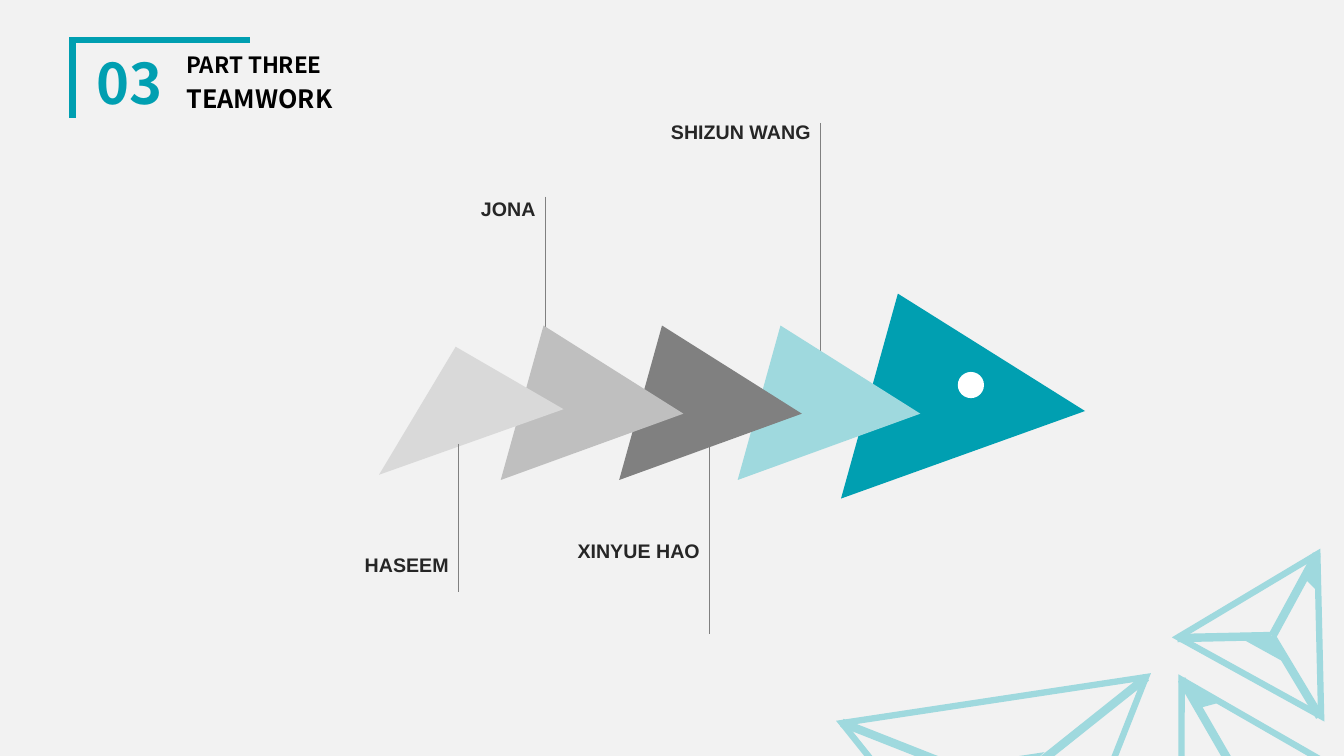
import pptx
import pptx.dml.color
import pptx.enum.shapes
import pptx.enum.text
import pptx.oxml
import pptx.oxml.ns
import pptx.util

Inches, Pt = pptx.util.Inches, pptx.util.Pt
RGBColor = pptx.dml.color.RGBColor
MSO_SHAPE = pptx.enum.shapes.MSO_SHAPE
ALIGN, ANCHOR = pptx.enum.text.PP_ALIGN, pptx.enum.text.MSO_ANCHOR
AUTO_SIZE = pptx.enum.text.MSO_AUTO_SIZE

TEAL, PALE_TEAL = RGBColor(0x00, 0x9F, 0xB1), RGBColor(0x9F, 0xD9, 0xDE)
PAPER, WHITE = RGBColor(0xF2, 0xF2, 0xF2), RGBColor(0xFF, 0xFF, 0xFF)
BLACK, INK = RGBColor(0, 0, 0), RGBColor(0x26, 0x26, 0x26)
GRAY, MID_GRAY = RGBColor(0x80, 0x80, 0x80), RGBColor(0xBF, 0xBF, 0xBF)
LIGHT_GRAY = RGBColor(0xD9, 0xD9, 0xD9)

HEADING_FONT, LABEL_FONT = "Noto Sans CJK SC", "Arial"
TITLE = ("TEAMWORK", (1.75, 0.78, 2.67, 0.44), 18, BLACK, ALIGN.LEFT)
HEADINGS = [
    ("03", (0.82, 0.49, 0.93, 0.73), 40, TEAL, ALIGN.CENTER),
    ("PART THREE", (1.75, 0.49, 2.67, 0.34), 16, BLACK, ALIGN.LEFT),
]
CORNER_BRACKET = [(0.72, 1.17), (0.72, 0.4), (2.48, 0.4)]

# Each crystal: outline box and rotation, ribs, small facet, small shard
CRYSTALS = [
    {"outline": (8.53, 6.93, 3.05, 2.63), "turn": 171.4,
     "ribs": [((11.37, 6.72), (9.99, 7.82)), ((8.35, 7.17), (10, 7.82))],
     "facet": (9.57, 7.53, 0.79, 0.24)},
    {"outline": (11.16, 6.63, 1.97, 1.7), "turn": 330,
     "ribs": [((11.72, 6.74), (12.28, 7.71))],
     "shard": [(11.92, 7.01), (12.07, 6.97), (11.81, 6.82)]},
    {"outline": (11.92, 5.41, 1.62, 1.39), "turn": 28.9,
     "ribs": [((13.06, 5.5), (12.62, 6.31)), ((11.68, 6.33), (12.61, 6.31)),
              ((13.09, 7.11), (12.61, 6.31))],
     "facet": (12.36, 6.33, 0.42, 0.13),
     "shard": [(12.96, 5.75), (13.05, 5.84), (13.04, 5.6)]},
]

FISH_TURN, FISH_APEX = 105.5, 0.297
FISH_HEAD = (8.58, 3.16, 2.11, 2.1)
FISH_EYE = (9.5, 3.69, 0.26, 0.26)
FISH_TAIL = [(4.52, 3.44), (5.59, 4.06), (3.76, 4.71)]
SCALE_COLORS = [PALE_TEAL, GRAY, MID_GRAY]
SCALE_LEFT, SCALE_TOP, SCALE_STEP = 7.49, 3.42, 1.175
SCALE_SIZE = (1.59, 1.57)

# Name, label top, label width, line x, line top, line bottom
UPPER_MEMBERS = [
    ("SHIZUN WANG", 1.14, 1.81, 8.14, 1.22, 3.53),
    ("JONA", 1.9, 1.65, 5.41, 1.95, 3.42),
]
LOWER_MEMBERS = [
    ("XINYUE HAO", 5.3, 1.64, 7.04, 4.41, 6.29),
    ("HASEEM", 5.44, 1.64, 4.55, 4.4, 5.87),
]


def inches(values):
    return [Inches(value) for value in values]


def apply(target, settings):
    for name, value in settings.items():
        setattr(target, name, value)


def paint(shape, fill=None, line=None, width=1):
    """Set fill and outline, with sharp corners and no shadow."""
    shape.shadow.inherit = False
    if fill is None:
        shape.fill.background()
    else:
        shape.fill.solid()
        shape.fill.fore_color.rgb = fill
    if line is None:
        shape.line.fill.background()
        return
    shape.line.color.rgb = line
    shape.line.width = Pt(width)
    miter = pptx.oxml.parse_xml(
        f'<a:miter {pptx.oxml.ns.nsdecls("a")} lim="800000"/>')
    shape.line._get_or_add_ln().append(miter)


def add_preset(page, kind, box, turn=0, apex=None, **colors):
    shape = page.shapes.add_shape(kind, *inches(box))
    shape.rotation = turn
    if apex is not None:
        shape.adjustments[0] = apex
    paint(shape, **colors)


def add_outline(page, points, close=True, **colors):
    start, *rest = [inches(point) for point in points]
    builder = page.shapes.build_freeform(*start)
    builder.add_line_segments(rest, close=close)
    paint(builder.convert_to_shape(), **colors)


def add_line(page, start, end, color, width):
    line = page.shapes.add_connector(
        pptx.enum.shapes.MSO_CONNECTOR.STRAIGHT, *inches(start + end))
    line.line.color.rgb = color
    line.line.width = Pt(width)
    line._element.spPr.append(pptx.oxml.parse_xml(
        f'<a:effectLst {pptx.oxml.ns.nsdecls("a")}/>'))


def write(shape, text, box, font, paragraph, anchor):
    left, top, width, height = inches(box)
    apply(shape, {"left": left, "top": top, "width": width, "height": height})
    apply(shape.text_frame, {"word_wrap": True, "vertical_anchor": anchor,
                             "auto_size": AUTO_SIZE.NONE})
    para = shape.text_frame.paragraphs[0]
    apply(para, paragraph)
    span = para.add_run()
    span.text = text
    color = font.pop("color")
    apply(span.font, {"bold": True, **font})
    span.font.color.rgb = color


def write_heading(shape, text, box, size, color, align):
    write(shape, text, box,
          {"name": HEADING_FONT, "size": Pt(size), "color": color},
          {"alignment": align, "line_spacing": 0.9, "space_before": Pt(10)},
          ANCHOR.MIDDLE)


def add_crystal(page, crystal):
    turn = crystal["turn"]
    add_preset(page, MSO_SHAPE.ISOSCELES_TRIANGLE, crystal["outline"], turn,
               fill=PAPER, line=PALE_TEAL, width=4.5)
    for start, end in crystal["ribs"]:
        add_line(page, start, end, PALE_TEAL, 6)
    if "facet" in crystal:
        add_preset(page, MSO_SHAPE.ISOSCELES_TRIANGLE, crystal["facet"], turn,
                   fill=PALE_TEAL, line=PALE_TEAL)
    if "shard" in crystal:
        add_outline(page, crystal["shard"], fill=PALE_TEAL, line=PALE_TEAL)


def add_members(page, members):
    """Draw each leader line with its name ending at the line."""
    for name, label_top, label_width, x, top, bottom in members:
        add_line(page, (x, top), (x, bottom), GRAY, 0.75)
        label = page.shapes.add_textbox(0, 0, 0, 0)
        write(label, name, (x - label_width, label_top, label_width, 0.34),
              {"name": LABEL_FONT, "size": Pt(14), "color": INK},
              {"alignment": ALIGN.RIGHT}, ANCHOR.TOP)


def add_fish(page):
    triangle = MSO_SHAPE.ISOSCELES_TRIANGLE
    add_preset(page, triangle, FISH_HEAD, FISH_TURN, FISH_APEX, fill=TEAL)
    for index, color in enumerate(SCALE_COLORS):
        box = (SCALE_LEFT - index * SCALE_STEP, SCALE_TOP, *SCALE_SIZE)
        add_preset(page, triangle, box, FISH_TURN, FISH_APEX, fill=color)
    add_outline(page, FISH_TAIL, fill=LIGHT_GRAY)
    add_preset(page, MSO_SHAPE.OVAL, FISH_EYE, fill=WHITE)


def main():
    deck = pptx.Presentation()
    deck.slide_width, deck.slide_height = inches((13.33, 7.5))
    page = deck.slides.add_slide(deck.slide_layouts[5])
    page.background.fill.solid()
    page.background.fill.fore_color.rgb = PAPER

    add_outline(page, CORNER_BRACKET, close=False, line=TEAL, width=4.5)
    for crystal in CRYSTALS:
        add_crystal(page, crystal)
    write_heading(page.shapes.title, *TITLE)
    for heading in HEADINGS:
        write_heading(page.shapes.add_textbox(0, 0, 0, 0), *heading)

    add_members(page, UPPER_MEMBERS)
    add_fish(page)
    add_members(page, LOWER_MEMBERS)
    deck.save("out.pptx")


if __name__ == "__main__":
    main()
